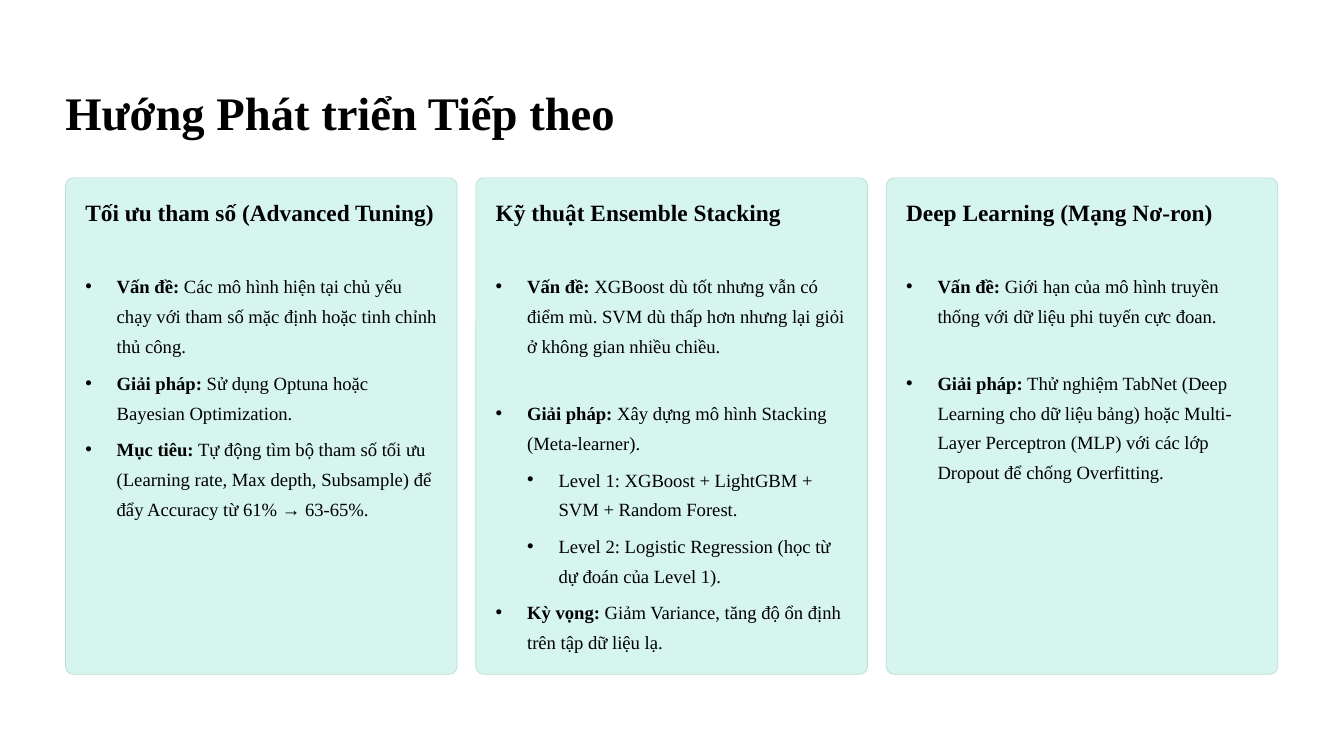
from lxml import etree
from pptx import Presentation
from pptx.dml.color import RGBColor
from pptx.enum.shapes import MSO_SHAPE
from pptx.enum.text import MSO_ANCHOR
from pptx.oxml.ns import qn
from pptx.util import Cm, Pt

ROUNDED = MSO_SHAPE.ROUNDED_RECTANGLE
TOP = MSO_ANCHOR.TOP
BLACK = RGBColor(0x00, 0x00, 0x00)
WHITE = RGBColor(0xFF, 0xFF, 0xFF)
MINT = RGBColor(0xD6, 0xF5, 0xEE)
MINT_EDGE = RGBColor(0xBC, 0xDB, 0xD4)
FONT = "Times New Roman"

LEFT, CARD_TOP = 1.98, 5.38
CARD_W, CARD_H, CARD_PITCH = 11.84, 15.01, 12.41
PAD, TEXT_W = 0.6, 10.67
HEADING_TOP, BULLETS_TOP = 5.97, 8.1
LINE_H, BULLET_GAP, INDENT = 0.91, 0.19, 0.95

# Each bullet: level, bold label, text, lines reserved
CARDS = [
    ("Tối ưu tham số (Advanced Tuning)", [
        (0, "Vấn đề:", " Các mô hình hiện tại chủ yếu chạy với tham số mặc định hoặc tinh chỉnh thủ công.", 3),
        (0, "Giải pháp:", " Sử dụng Optuna hoặc Bayesian Optimization.", 2),
        (0, "Mục tiêu:", " Tự động tìm bộ tham số tối ưu (Learning rate, Max depth, Subsample) "
                         "để đẩy Accuracy từ 61% → 63-65%.", 4),
    ]),
    ("Kỹ thuật Ensemble Stacking", [
        (0, "Vấn đề:", " XGBoost dù tốt nhưng vẫn có điểm mù. SVM dù thấp hơn nhưng lại giỏi "
                       "ở không gian nhiều chiều.", 4),
        (0, "Giải pháp:", " Xây dựng mô hình Stacking (Meta-learner).", 2),
        (1, "", "Level 1: XGBoost + LightGBM + SVM + Random Forest.", 2),
        (1, "", "Level 2: Logistic Regression (học từ dự đoán của Level 1).", 2),
        (0, "Kỳ vọng:", " Giảm Variance, tăng độ ổn định trên tập dữ liệu lạ.", 2),
    ]),
    ("Deep Learning (Mạng Nơ-ron)", [
        (0, "Vấn đề:", " Giới hạn của mô hình truyền thống với dữ liệu phi tuyến cực đoan.", 3),
        (0, "Giải pháp:", " Thử nghiệm TabNet (Deep Learning cho dữ liệu bảng) hoặc Multi-Layer "
                          "Perceptron (MLP) với các lớp Dropout để chống Overfitting.", 5),
    ]),
]


def add_run(p, text, size=16, bold=False, color=BLACK):
    r = p.add_run()
    r.text = text
    r.font.name = FONT
    r.font.size = Pt(size)
    r.font.bold = bold
    r.font.color.rgb = color


class Deck:
    def __init__(self, prs):
        self.slide = prs.slides.add_slide(prs.slide_layouts[6])
        fill = self.slide.background.fill
        fill.solid()
        fill.fore_color.rgb = WHITE

    def card(self, x, y, w, h):
        sp = self.slide.shapes.add_shape(ROUNDED, Cm(x), Cm(y), Cm(w), Cm(h))
        sp.adjustments[0] = 0.02
        sp.shadow.inherit = False
        sp.fill.solid()
        sp.fill.fore_color.rgb = MINT
        sp.line.color.rgb = MINT_EDGE
        sp.line.width = Pt(0.6)

    def box(self, x, y, w, h, spacing, wrap=True):
        tf = self.slide.shapes.add_textbox(Cm(x), Cm(y), Cm(w), Cm(h)).text_frame
        tf.margin_left = tf.margin_top = tf.margin_right = tf.margin_bottom = 0
        tf.word_wrap = wrap
        tf.vertical_anchor = TOP
        p = tf.paragraphs[0]
        p.line_spacing = Pt(spacing)
        return p

    def heading(self, text, x, y, w, size, spacing, wrap=True):
        p = self.box(x, y, w, 1.78, spacing, wrap)
        add_run(p, text, size=size, bold=True)

    def bullet(self, x, y, level, label, text, lines):
        p = self.box(x, y, TEXT_W, lines * LINE_H, 25.5)
        p.level = level
        pPr = p._p.get_or_add_pPr()
        pPr.set("marL", str(Cm(INDENT * (level + 1))))
        pPr.set("indent", str(-Cm(INDENT)))
        etree.SubElement(pPr, qn("a:buFont"), typeface="Arial")
        etree.SubElement(pPr, qn("a:buChar"), char="•")
        if label:
            add_run(p, label, bold=True)
        add_run(p, text)


def main():
    prs = Presentation()
    prs.slide_width, prs.slide_height = Cm(40.64), Cm(22.86)
    deck = Deck(prs)
    deck.heading("Hướng Phát triển Tiếp theo", LEFT, 2.46, 23.75, 40, 50, wrap=False)
    for i, (heading, bullets) in enumerate(CARDS):
        x = LEFT + i * CARD_PITCH
        deck.card(x, CARD_TOP, CARD_W, CARD_H)
        deck.heading(heading, x + PAD, HEADING_TOP, TEXT_W, 20, 25)
        y = BULLETS_TOP
        for level, label, text, lines in bullets:
            deck.bullet(x + PAD, y, level, label, text, lines)
            y += lines * LINE_H + BULLET_GAP
    prs.save("out.pptx")


if __name__ == "__main__":
    main()
